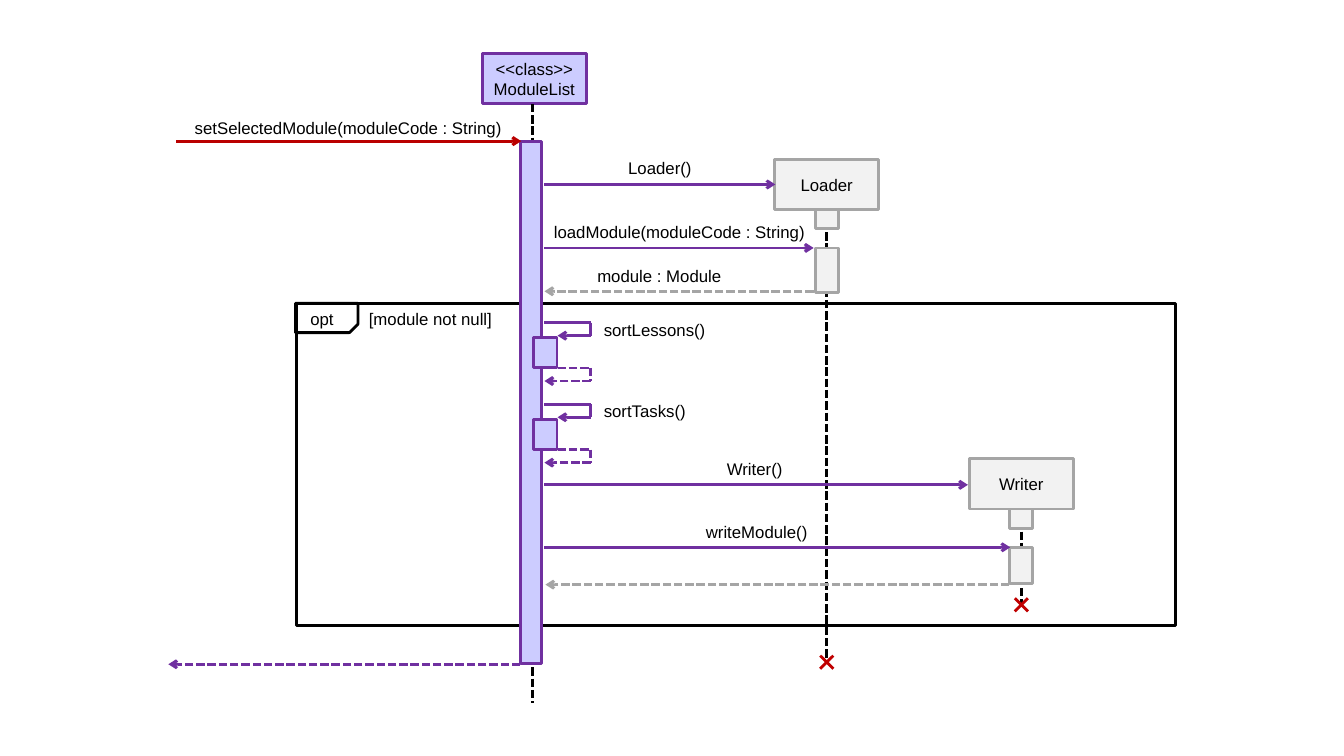
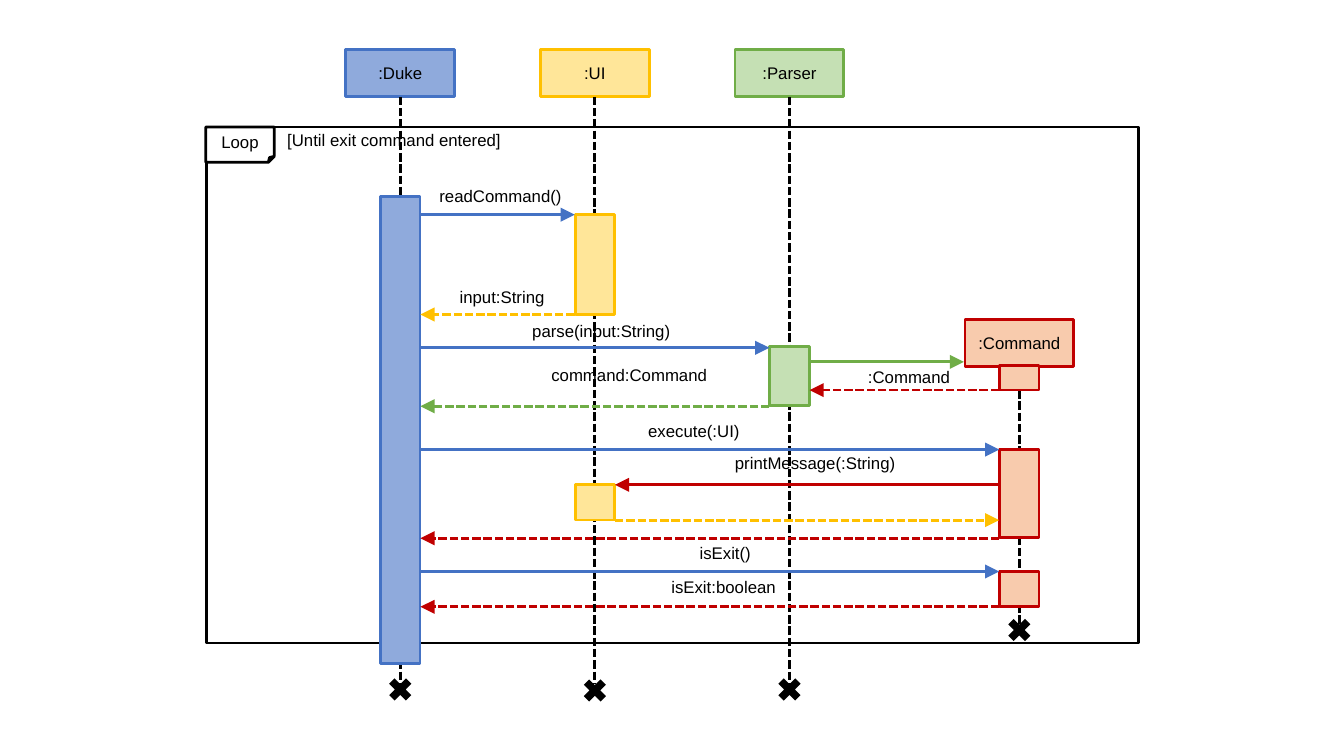
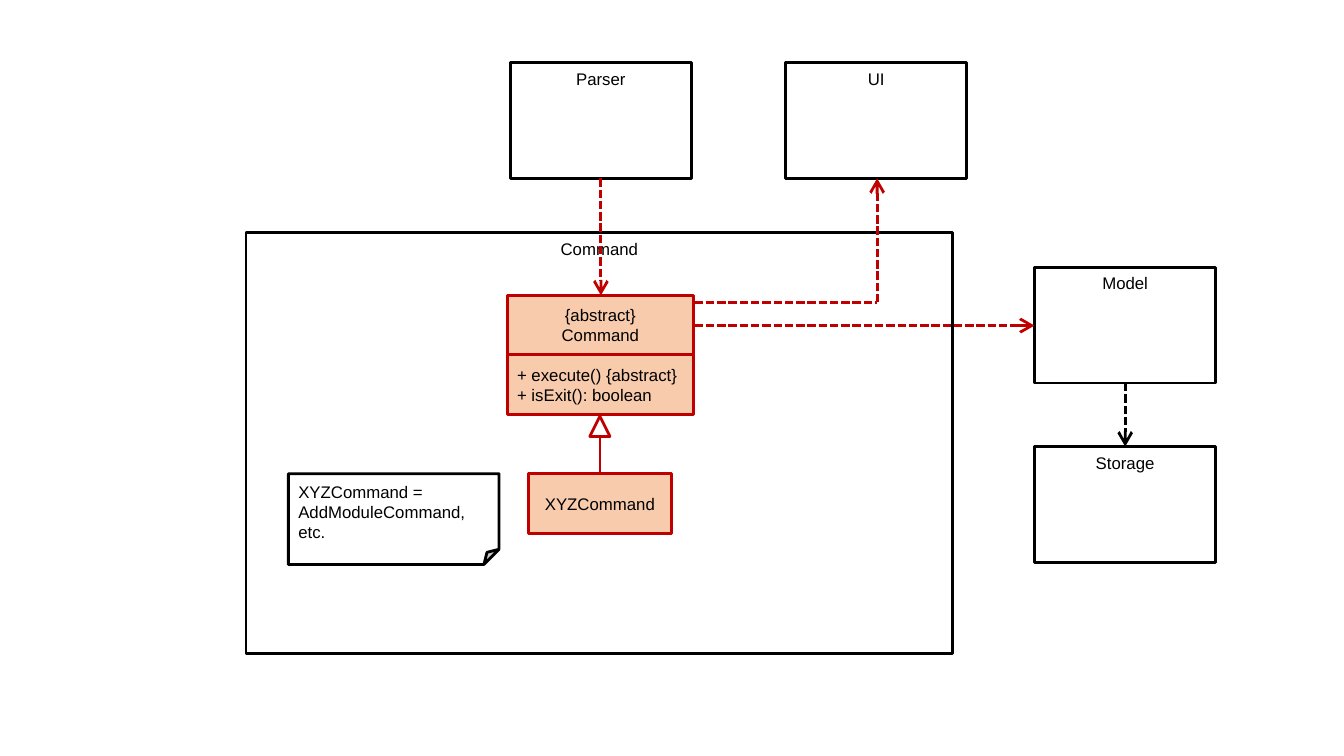
import pptx
import pptx.dml.color
import pptx.enum.dml
import pptx.enum.shapes
import pptx.enum.text
import pptx.oxml
import pptx.oxml.ns
import pptx.util

Inches = pptx.util.Inches
Shapes = pptx.enum.shapes.MSO_SHAPE
Align = pptx.enum.text.PP_ALIGN
Anchor = pptx.enum.text.MSO_ANCHOR

FONT, FONT_SIZE, LINE_WIDTH = "Arial", 12, 2
BLACK, WHITE, RED, CALL_RED = "000000", "FFFFFF", "C00000", "BA0000"
PURPLE, GRAY = "7030A0", "A5A5A5"
# Fill and outline of each kind of participant
LIST_STYLE = ("CCCCFF", PURPLE)
HELPER_STYLE = ("F2F2F2", GRAY)
MAIN_STYLE = ("8FAADC", "4472C4")
UI_STYLE = ("FFE699", "FFC000")
PARSER_STYLE = ("C5E0B4", "70AD47")
COMMAND_STYLE = ("F8CBAD", RED)
PLAIN_STYLE = (None, BLACK)
NOTE_STYLE = (WHITE, BLACK)
# Arrowhead kind and size
SMALL_ARROW = ("arrow", "med")
OPEN_ARROW = ("arrow", "lg")
SOLID_ARROW = ("triangle", "lg")


def color(value):
    """Turn a hex string into a colour."""
    return pptx.dml.color.RGBColor.from_string(value)


def write(shape, text, alignment, anchor):
    """Put text into a shape, one paragraph for each line."""
    frame = shape.text_frame
    frame.word_wrap = True
    frame.vertical_anchor = anchor
    frame.text = text
    for paragraph in frame.paragraphs:
        paragraph.alignment = alignment
        paragraph.font.name = FONT
        paragraph.font.size = pptx.util.Pt(FONT_SIZE)
        paragraph.font.color.rgb = color(BLACK)


def box(slide, left, top, width, height, style, text="",
        kind=Shapes.RECTANGLE, alignment=Align.CENTER):
    """Add a shape with a (fill, outline) style; None means absent."""
    shape = slide.shapes.add_shape(
        kind, Inches(left), Inches(top), Inches(width), Inches(height))
    shape.shadow.inherit = False
    fill, outline = style
    if fill:
        shape.fill.solid()
        shape.fill.fore_color.rgb = color(fill)
    else:
        shape.fill.background()
    if outline:
        shape.line.color.rgb = color(outline)
        shape.line.width = pptx.util.Pt(LINE_WIDTH)
    else:
        shape.line.fill.background()
    if text:
        write(shape, text, alignment, Anchor.MIDDLE)
    return shape


def centered_box(slide, center, top, width, height, style, text=""):
    """Add a rectangle centred on a lifeline."""
    return box(slide, center - width / 2, top, width, height, style, text)


def label(slide, left, top, width, text, alignment=Align.LEFT, wrap=True):
    """Add a one-line text box."""
    text_box = slide.shapes.add_textbox(
        Inches(left), Inches(top), Inches(width), Inches(0.3))
    write(text_box, text, alignment, Anchor.TOP)
    text_box.text_frame.word_wrap = wrap
    text_box.text_frame.auto_size = pptx.enum.text.MSO_AUTO_SIZE.SHAPE_TO_FIT_TEXT


def line(slide, start, end, hue, dashed=False, arrow=None):
    """Draw a straight line between two points, with an optional arrowhead."""
    connector = slide.shapes.add_connector(
        pptx.enum.shapes.MSO_CONNECTOR.STRAIGHT,
        *(Inches(value) for value in (*start, *end)))
    connector.line.color.rgb = color(hue)
    connector.line.width = pptx.util.Pt(LINE_WIDTH)
    if dashed:
        connector.line.dash_style = pptx.enum.dml.MSO_LINE.SQUARE_DOT
    if arrow:
        kind, size = arrow
        head = pptx.oxml.parse_xml(
            f'<a:tailEnd {pptx.oxml.ns.nsdecls("a")} type="{kind}" w="{size}" len="{size}"/>')
        connector.line._get_or_add_ln().append(head)
    connector._element.spPr.append(
        pptx.oxml.parse_xml(f'<a:effectLst {pptx.oxml.ns.nsdecls("a")}/>'))


def message(slide, start, end, y, hue, arrow, dashed=False):
    """Draw a horizontal message arrow."""
    line(slide, (start, y), (end, y), hue, dashed, arrow)


def lifeline(slide, x, top, bottom):
    """Draw a dashed vertical lifeline."""
    line(slide, (x, top), (x, bottom), BLACK, dashed=True)


def red_cross(slide, x, y):
    """Mark the end of a lifeline with two crossing red lines."""
    reach = 0.065
    line(slide, (x - reach, y - reach), (x + reach, y + reach), RED)
    line(slide, (x - reach, y + reach), (x + reach, y - reach), RED)


def hook(slide, start, end, y, dashed=False):
    """Draw a message that leaves to the right and turns back."""
    corner, drop = 5.86, 0.13
    line(slide, (start, y), (corner, y), PURPLE, dashed)
    line(slide, (corner, y), (corner, y + drop), PURPLE, dashed)
    message(slide, corner, end, y + drop, PURPLE, SMALL_ARROW, dashed)


def self_call(slide, y, text):
    """Draw a call from the module list to itself and its return."""
    centered_box(slide, 5.41, y + 0.15, 0.23, 0.3, LIST_STYLE)
    hook(slide, 5.4, 5.53, y)
    hook(slide, 5.53, 5.4, y + 0.45, dashed=True)
    label(slide, 5.89, y - 0.08, 1.36, text)


def module_sequence(slide):
    """Draw the sequence diagram for selecting a module."""
    box(slide, 2.94, 3.01, 8.72, 3.2, PLAIN_STYLE)
    for center, top, style, text in (
            (5.3, 0.53, LIST_STYLE, "<<class>>\nModuleList"),
            (8.2, 1.58, HELPER_STYLE, "Loader"),
            (10.13, 4.55, HELPER_STYLE, "Writer")):
        centered_box(slide, center, top, 1.03, 0.5, style, text)
    for x, top, bottom in ((5.28, 1.03, 6.97), (8.2, 2.08, 6.59), (10.13, 5.05, 6.02)):
        lifeline(slide, x, top, bottom)
    centered_box(slide, 5.27, 1.4, 0.21, 5.18, LIST_STYLE)
    for center, top, height in (
            (8.2, 2.08, 0.19), (8.2, 2.46, 0.44),
            (10.13, 5.05, 0.19), (10.13, 5.43, 0.36)):
        centered_box(slide, center, top, 0.23, height, HELPER_STYLE)

    for start, end, y, hue in (
            (1.75, 5.17, 1.4, CALL_RED), (5.4, 7.69, 1.83, PURPLE),
            (5.4, 8.07, 2.46, PURPLE), (5.4, 9.6, 4.81, PURPLE),
            (5.4, 10.02, 5.43, PURPLE)):
        message(slide, start, end, y, hue, SMALL_ARROW)
    for start, end, y, hue in (
            (8.07, 5.4, 2.89, GRAY), (10.01, 5.41, 5.8, GRAY),
            (5.16, 1.67, 6.59, PURPLE)):
        message(slide, start, end, y, hue, SMALL_ARROW, dashed=True)
    for left, top, width, text in (
            (1.75, 1.12, 3.41, "setSelectedModule(moduleCode : String)"),
            (5.75, 1.52, 1.59, "Loader()"),
            (4.91, 2.15, 3.66, "loadModule(moduleCode : String)"),
            (5.54, 2.59, 2, "module : Module"),
            (6.69, 4.5, 1.59, "Writer()"),
            (6.71, 5.13, 1.59, "writeModule()")):
        label(slide, left, top, width, text, Align.CENTER)

    self_call(slide, 3.2, "sortLessons()")
    self_call(slide, 4.01, "sortTasks()")
    red_cross(slide, 8.2, 6.57)
    red_cross(slide, 10.13, 6)

    tab = box(slide, 2.93, 3.01, 0.62, 0.29, PLAIN_STYLE, kind=Shapes.SNIP_1_RECTANGLE)
    tab.adjustments[0] = 0.29
    tab._element.spPr.xfrm.set("flipV", "1")
    label(slide, 2.98, 3.01, 0.53, "opt")
    label(slide, 3.56, 3.01, 1.59, "[module not null]")


def command_sequence(slide):
    """Draw the sequence diagram for the command loop."""
    main_x, ui_x, parser_x, command_x = 3.97, 5.9, 7.83, 10.11
    half_bar = 0.2
    box(slide, 2.05, 1.26, 9.24, 5.12, PLAIN_STYLE)
    for center, top, style, text in (
            (main_x, 0.49, MAIN_STYLE, ":Duke"), (ui_x, 0.49, UI_STYLE, ":UI"),
            (parser_x, 0.49, PARSER_STYLE, ":Parser"),
            (command_x, 3.17, COMMAND_STYLE, ":Command")):
        centered_box(slide, center, top, 1.08, 0.47, style, text)

    # Each lifeline starts at its head, and the bars cover parts of it
    for x, top, bottom, cross_y, style, bars in (
            (main_x, 0.96, 6.78, 6.84, MAIN_STYLE, ((1.95, 4.63),)),
            (ui_x, 0.96, 6.78, 6.85, UI_STYLE, ((2.13, 0.99), (4.81, 0.35))),
            (parser_x, 0.96, 6.78, 6.84, PARSER_STYLE, ((3.44, 0.58),)),
            (command_x, 3.87, 6.21, 6.25, COMMAND_STYLE,
             ((3.63, 0.24), (4.46, 0.87), (5.67, 0.35)))):
        lifeline(slide, x, top, bottom)
        for bar_top, height in bars:
            centered_box(slide, x, bar_top, 2 * half_bar - 0.01, height, style)
        box(slide, x - 0.16, cross_y - 0.16, 0.32, 0.32, (BLACK, None),
            kind=Shapes.MATH_MULTIPLY)

    for left, top, width, text in (
            (4.26, 1.79, 1.42, "readCommand()"),
            (4.46, 2.8, 1.05, "input:String"),
            (5.18, 3.13, 1.58, "parse(input:String)"),
            (8.51, 3.59, 1.02, ":Command"),
            (5.37, 3.57, 1.76, "command:Command"),
            (6.33, 4.12, 1.12, "execute(:UI)"),
            (7.19, 4.44, 1.81, "printMessage(:String)"),
            (6.84, 5.34, 0.72, "isExit()"),
            (6.56, 5.67, 1.25, "isExit:boolean")):
        label(slide, left, top, width, text, wrap=False)

    for start, end, y, style, dashed in (
            (main_x, ui_x, 2.13, MAIN_STYLE, False),
            (ui_x, main_x, 3.12, UI_STYLE, True),
            (main_x, parser_x, 3.45, MAIN_STYLE, False),
            (command_x, parser_x, 3.87, COMMAND_STYLE, True),
            (parser_x, main_x, 4.03, PARSER_STYLE, True),
            (main_x, command_x, 4.46, MAIN_STYLE, False),
            (command_x, ui_x, 4.81, COMMAND_STYLE, False),
            (ui_x, command_x, 5.16, UI_STYLE, True),
            (command_x, main_x, 5.34, COMMAND_STYLE, True),
            (main_x, command_x, 5.67, MAIN_STYLE, False),
            (command_x, main_x, 6.02, COMMAND_STYLE, True)):
        gap = half_bar if start < end else -half_bar
        message(slide, start + gap, end - gap, y, style[1], SOLID_ARROW, dashed)
    message(slide, parser_x + half_bar, 9.56, 3.59, PARSER_STYLE[1], SOLID_ARROW)

    box(slide, 2.04, 1.26, 0.68, 0.35, NOTE_STYLE, "Loop", Shapes.FOLDED_CORNER)
    label(slide, 2.75, 1.24, 2.61, "[Until exit command entered]")


def component(slide, left, top, width, height, name):
    """Draw a component frame with its name at the top."""
    box(slide, left, top, width, height, PLAIN_STYLE)
    label(slide, left, top + 0.01, width, name, Align.CENTER)


def command_classes(slide):
    """Draw the class diagram of the command component."""
    component(slide, 2.44, 2.31, 7.01, 4.17, "Command")
    for left, top, name in (
            (5.06, 0.62, "Parser"), (7.79, 0.62, "UI"),
            (10.26, 2.65, "Model"), (10.26, 4.43, "Storage")):
        component(slide, left, top, 1.8, 1.15, name)

    box(slide, 5.03, 2.93, 1.85, 0.59, COMMAND_STYLE, "{abstract}\nCommand")
    box(slide, 5.03, 3.52, 1.85, 0.59, COMMAND_STYLE,
        "+ execute() {abstract}\n+ isExit(): boolean", alignment=Align.LEFT)
    box(slide, 5.24, 4.7, 1.42, 0.59, COMMAND_STYLE, "XYZCommand")
    box(slide, 5.85, 4.13, 0.2, 0.2, (None, RED), kind=Shapes.ISOSCELES_TRIANGLE)
    line(slide, (5.95, 4.33), (5.95, 4.7), RED)
    box(slide, 2.86, 4.7, 2.09, 0.9, NOTE_STYLE, "XYZCommand = AddModuleCommand, etc.",
        Shapes.FOLDED_CORNER, Align.LEFT)

    line(slide, (6.89, 3), (8.7, 3), RED, dashed=True)
    for start, end, hue in (
            ((5.96, 1.77), (5.96, 2.93), RED), ((8.7, 3), (8.7, 1.77), RED),
            ((6.89, 3.23), (10.26, 3.23), RED), ((11.16, 3.8), (11.16, 4.43), BLACK)):
        line(slide, start, end, hue, dashed=True, arrow=OPEN_ARROW)


def main():
    """Build the three diagrams and save the presentation."""
    presentation = pptx.Presentation()
    presentation.slide_width = Inches(13.33)
    presentation.slide_height = Inches(7.5)
    blank_layout = presentation.slide_layouts[6]
    for draw in (module_sequence, command_sequence, command_classes):
        draw(presentation.slides.add_slide(blank_layout))
    presentation.save("out.pptx")


main()
